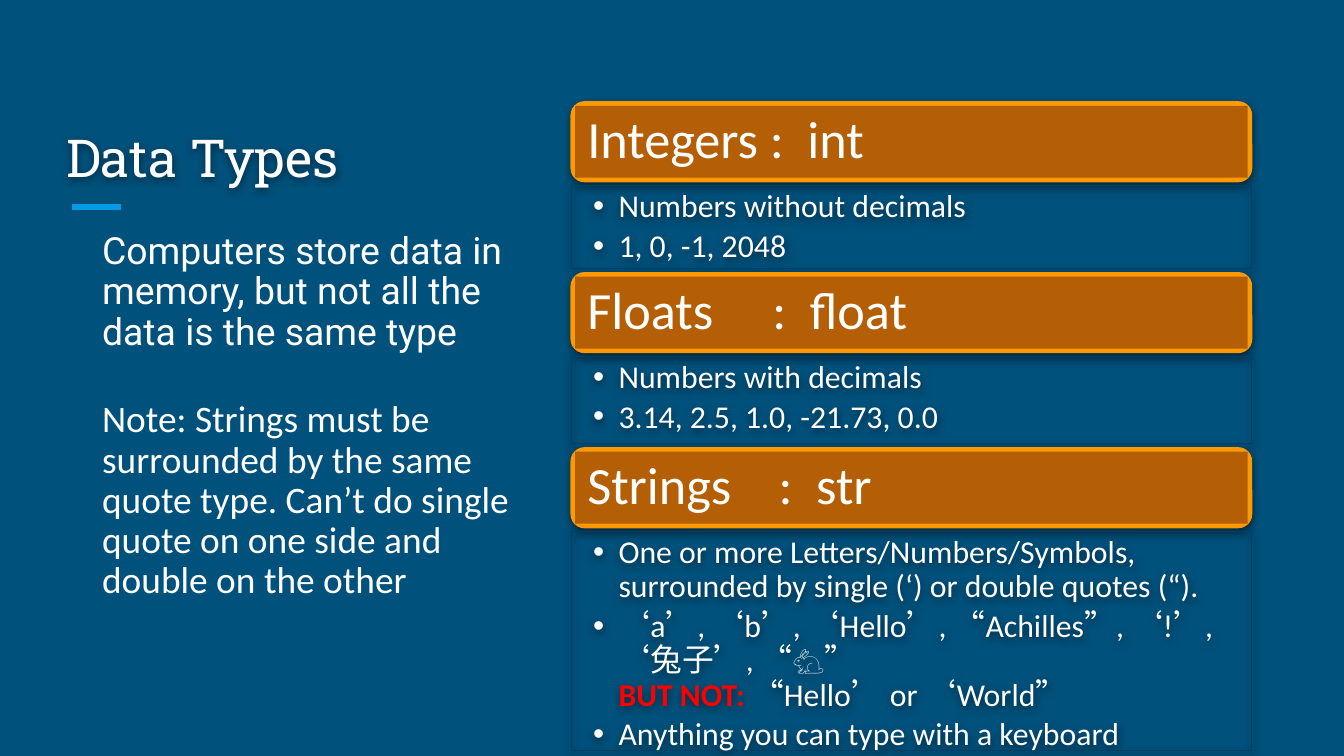
from dataclasses import dataclass

from lxml import etree
from pptx import Presentation
from pptx.dml.color import RGBColor
from pptx.enum.shapes import MSO_CONNECTOR, MSO_SHAPE
from pptx.enum.text import MSO_ANCHOR, MSO_AUTO_SIZE, PP_ALIGN
from pptx.oxml import parse_xml
from pptx.oxml.ns import nsdecls, qn
from pptx.util import Cm, Pt

STRAIGHT = MSO_CONNECTOR.STRAIGHT
RECTANGLE, ROUNDED = MSO_SHAPE.RECTANGLE, MSO_SHAPE.ROUNDED_RECTANGLE
TOP, MIDDLE, BOTTOM = MSO_ANCHOR.TOP, MSO_ANCHOR.MIDDLE, MSO_ANCHOR.BOTTOM
LEFT, NO_AUTOFIT = PP_ALIGN.LEFT, MSO_AUTO_SIZE.NONE
TITLE_ONLY = 5


@dataclass(frozen=True)
class Theme:
    background: RGBColor = RGBColor(0x00, 0x51, 0x7C)
    text: RGBColor = RGBColor(0xFF, 0xFF, 0xFF)
    warning: RGBColor = RGBColor(0xFF, 0x00, 0x00)
    accent: RGBColor = RGBColor(0x03, 0x9B, 0xE5)
    header_frame: RGBColor = RGBColor(0xFF, 0x99, 0x00)
    header_face: RGBColor = RGBColor(0xB4, 0x5F, 0x06)
    detail_line: RGBColor = RGBColor(0x00, 0x40, 0x65)
    title_font: str = "Roboto Slab"
    intro_font: str = "Roboto"
    plain_font: str = "Calibri"
    heading_size: int = 28
    body_size: int = 20
    bullet_size: int = 17


THEME = Theme()
TEXT_INSETS = (0.18, 0.1, 0.18, 0.1)
HEADER_INSETS = (0.23, 0.23, 0.23, 0.23)
DETAIL_INSETS = (0.41, 0.08, 0.46, 0.08)

# Heading, height of the detail box, bullets; a bullet is a list of lines,
# and a line a list of (text, is_warning) pieces.
DATA_TYPES = [
    ("Integers :  int", 1.57, [
        [[("Numbers without decimals", False)]],
        [[("1, 0, -1, 2048", False)]],
    ]),
    ("Floats     :  float", 1.65, [
        [[("Numbers with decimals", False)]],
        [[("3.14, 2.5, 1.0, -21.73, 0.0", False)]],
    ]),
    ("Strings    :  str", 4.14, [
        [[("One or more Letters/Numbers/Symbols, surrounded by single (‘) "
           "or double quotes (“).", False)]],
        [[("‘a’, ‘b’, ‘Hello’, “Achilles”, ‘!’, ‘兔子’, “🐇” ", False)],
         [("BUT NOT:", True), (" “Hello’ or ‘World”", False)]],
        [[("Anything you can type with a keyboard", False)]],
    ]),
]


def add_soft_shadow(shape):
    """Add a blurred shadow below the shape; call after fill and line are set."""
    properties = shape._element.spPr
    for effects in properties.findall(qn("a:effectLst")):
        properties.remove(effects)
    properties.append(parse_xml(
        f'<a:effectLst {nsdecls("a")}>'
        '<a:outerShdw blurRad="57150" dist="19050" dir="5400000" algn="bl" rotWithShape="0">'
        '<a:srgbClr val="000000"><a:alpha val="50000"/></a:srgbClr>'
        '</a:outerShdw></a:effectLst>'))


def add_bullet_mark(paragraph):
    properties = paragraph._p.get_or_add_pPr()
    properties.set("marL", str(Cm(0.48)))
    properties.set("indent", str(-Cm(0.48)))
    color = etree.SubElement(properties, qn("a:buClr"))
    etree.SubElement(color, qn("a:srgbClr"), val=str(THEME.text))
    etree.SubElement(properties, qn("a:buFont"), typeface="Arial")
    etree.SubElement(properties, qn("a:buChar"), char="•")


def set_frame(shape, insets, anchor=TOP):
    frame = shape.text_frame
    frame.word_wrap = True
    frame.auto_size = NO_AUTOFIT
    frame.vertical_anchor = anchor
    (frame.margin_left, frame.margin_top,
     frame.margin_right, frame.margin_bottom) = map(Cm, insets)
    return frame


def style_paragraph(paragraph, font_name, size):
    paragraph.alignment = LEFT
    paragraph.line_spacing = 0.9
    paragraph.font.name = font_name
    paragraph.font.size = Pt(size)
    paragraph.font.color.rgb = THEME.text


def add_box(slide, kind, box, fill=None, line=None, line_width=1):
    shape = slide.shapes.add_shape(kind, *map(Cm, box))
    shape.shadow.inherit = False
    if fill is None:
        shape.fill.background()
    else:
        shape.fill.solid()
        shape.fill.fore_color.rgb = fill
    if line is None:
        shape.line.fill.background()
    else:
        shape.line.color.rgb = line
        shape.line.width = Pt(line_width)
    return shape


def place_title(slide, box, text):
    """Fill the title placeholder and draw the short rule under it."""
    left, top, width, height = box
    title = slide.shapes.title
    title.left, title.top, title.width, title.height = map(Cm, box)
    frame = set_frame(title, TEXT_INSETS, BOTTOM)
    frame.text = text
    style_paragraph(frame.paragraphs[0], THEME.title_font, THEME.heading_size)
    add_soft_shadow(title)

    rule_left, rule_top = left + 0.3, top + height + 0.25
    rule = slide.shapes.add_connector(
        STRAIGHT, Cm(rule_left), Cm(rule_top), Cm(rule_left + 0.92), Cm(rule_top))
    rule.line.color.rgb = THEME.accent
    rule.line.width = Pt(3)
    etree.SubElement(rule._element.spPr, qn("a:effectLst"))


def add_text(slide, box, text, font_name):
    frame = set_frame(slide.shapes.add_textbox(*map(Cm, box)), TEXT_INSETS)
    frame.text = text
    style_paragraph(frame.paragraphs[0], font_name, THEME.body_size)


def add_header(slide, box, heading):
    left, top, width, height = box
    border = 0.07
    frame_shape = add_box(slide, ROUNDED, box, THEME.header_frame, THEME.header_frame)
    add_soft_shadow(frame_shape)
    face = add_box(slide, RECTANGLE, (left + border, top + border,
                                      width - 2 * border, height - 2 * border),
                   THEME.header_face)
    frame = set_frame(face, HEADER_INSETS, MIDDLE)
    frame.text = heading
    style_paragraph(frame.paragraphs[0], THEME.plain_font, THEME.heading_size)


def add_details(slide, box, bullets):
    shape = add_box(slide, RECTANGLE, box, line=THEME.detail_line, line_width=0.75)
    add_soft_shadow(shape)
    frame = set_frame(shape, DETAIL_INSETS)
    for index, lines in enumerate(bullets):
        paragraph = frame.add_paragraph() if index else frame.paragraphs[0]
        paragraph.level = 1
        add_bullet_mark(paragraph)
        style_paragraph(paragraph, THEME.plain_font, THEME.bullet_size)
        paragraph.space_before = Pt(3 if index else 0)
        for line_number, pieces in enumerate(lines):
            if line_number:
                paragraph.add_line_break()
            for text, is_warning in pieces:
                run = paragraph.add_run()
                run.text = text
                if is_warning:
                    run.font.bold = True
                    run.font.color.rgb = THEME.warning


def add_type_list(slide, box, data_types):
    """Stack a header and a detail box for each data type, from the top down."""
    left, top, width, _ = box
    header_height, gap = 1.5, 0.08
    for heading, detail_height, bullets in data_types:
        add_header(slide, (left, top, width, header_height), heading)
        top += header_height + gap
        add_details(slide, (left, top, width, detail_height), bullets)
        top += detail_height + gap


def main():
    presentation = Presentation()
    presentation.slide_width, presentation.slide_height = Cm(25.4), Cm(14.29)
    slide = presentation.slides.add_slide(presentation.slide_layouts[TITLE_ONLY])
    slide.background.fill.solid()
    slide.background.fill.fore_color.rgb = THEME.background

    place_title(slide, (1.07, 1.55, 7.8, 2.11), "Data Types")
    add_text(slide, (1.75, 4.29, 8.2, 2.84),
             "Computers store data in memory, but not all the data is the same type",
             THEME.intro_font)
    add_type_list(slide, (10.8, 1.93, 12.85, 12.24), DATA_TYPES)
    add_text(slide, (1.75, 7.47, 8.2, 4.72),
             "Note: Strings must be surrounded by the same quote type. Can’t do single "
             "quote on one side and double on the other", THEME.plain_font)
    presentation.save("out.pptx")


if __name__ == "__main__":
    main()
